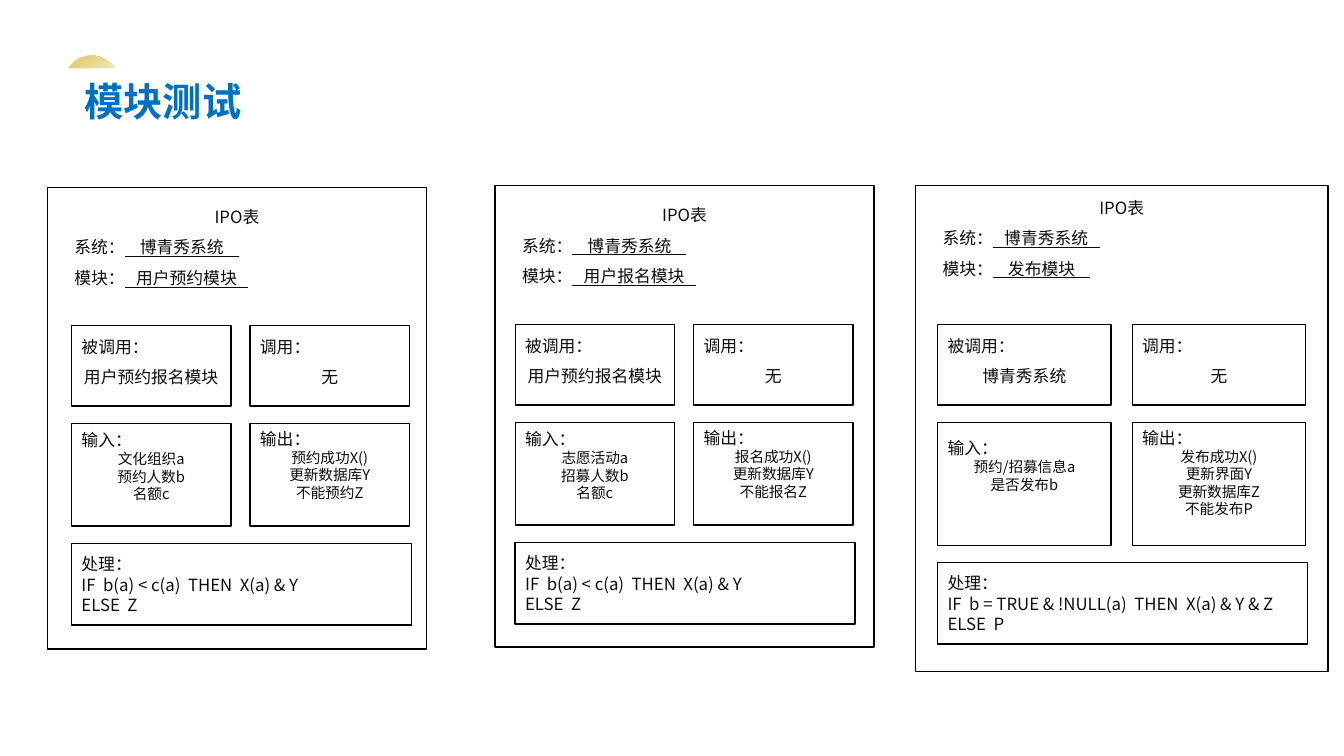
from dataclasses import dataclass

from lxml import etree
from pptx import Presentation
from pptx import util as u
from pptx.dml.color import RGBColor
from pptx.enum import shapes, text
from pptx.oxml import ns


@dataclass(frozen=True)
class Theme:
    font: str = "Noto Sans CJK SC"
    title: str = "0070C0"
    ink: str = "0D0D0D"
    border: str = "000000"
    paper: str = "FFFFFF"
    gold: str = "E4D178"
    title_size: float = 28
    label_size: float = 12
    item_size: float = 10.5
    title_pitch: float = 34
    loose_pitch: float = 21.7
    label_pitch: float = 14.7
    item_pitch: float = 12.5


@dataclass(frozen=True)
class Panel:
    left: float
    top: float
    width: float
    height: float
    grid_left: float
    grid_top: float
    cell_width: float
    gap: float
    data_height: float
    header_inset: float
    input_inset: float
    system: str
    module: str
    caller: str
    inputs: tuple
    outputs: tuple
    process: tuple


THEME = Theme()
BOOKING_RULE = ("IF  b(a) < c(a)  THEN  X(a) & Y", "ELSE  Z")
PANELS = (
    Panel(0.47, 1.86, 3.76, 4.58, 0.71, 3.23, 1.58, 0.19, 1.02, 0.09, 0.06,
          "    博青秀系统    ", "   用户预约模块   ", "用户预约报名模块",
          ("文化组织a", "预约人数b", "名额c"),
          ("预约成功X()", "更新数据库Y", "不能预约Z"), BOOKING_RULE),
    Panel(4.91, 1.84, 3.76, 4.58, 5.11, 3.22, 1.58, 0.19, 1.02, 0.09, 0.06,
          "    博青秀系统    ", "   用户报名模块   ", "用户预约报名模块",
          ("志愿活动a", "招募人数b", "名额c"),
          ("报名成功X()", "更新数据库Y", "不能报名Z"), BOOKING_RULE),
    Panel(9.08, 1.84, 4.09, 4.82, 9.3, 3.22, 1.72, 0.21, 1.22, 0.02, 0.15,
          "   博青秀系统   ", "    发布模块    ", "博青秀系统",
          ("预约/招募信息a", "是否发布b"),
          ("发布成功X()", "更新界面Y", "更新数据库Z", "不能发布P"),
          ("IF  b = TRUE & !NULL(a)  THEN  X(a) & Y & Z", "ELSE  P")),
)


def color(code):
    return RGBColor.from_string(code)


def add_area(slide, kind, left, top, width, height, fill=None, line=None):
    area = slide.shapes.add_shape(kind, *map(u.Inches, (left, top, width, height)))
    area.shadow.inherit = False
    if fill:
        area.fill.solid()
        area.fill.fore_color.rgb = color(fill)
    else:
        area.fill.background()
    if line:
        area.line.color.rgb = color(line)
        area.line.width = u.Pt(1)
    else:
        area.line.fill.background()
    return area


def start_text(area, inset):
    frame = area.text_frame
    frame.word_wrap = True
    frame.vertical_anchor = text.MSO_ANCHOR.TOP
    frame.margin_top = u.Inches(inset)
    frame.margin_bottom = 0
    return frame


def write(frame, words, underlined="", size=THEME.label_size, pitch=THEME.label_pitch,
          ink=THEME.ink, bold=False, centered=False, indent=0):
    first = frame.paragraphs[0]
    line = frame.add_paragraph() if first.runs else first
    line.alignment = text.PP_ALIGN.CENTER if centered else text.PP_ALIGN.LEFT
    line.line_spacing = u.Pt(pitch)
    if indent:
        line._p.get_or_add_pPr().set("indent", str(u.Inches(indent)))
    for part, mark in ((words, False), (underlined, True)):
        if part:
            run = line.add_run()
            run.text = part
            run.font.size = u.Pt(size)
            run.font.bold = bold
            run.font.underline = mark
            run.font.color.rgb = color(ink)
            run.font.name = THEME.font
            etree.SubElement(run.font._element, ns.qn("a:ea"), typeface=THEME.font)


def add_box(slide, left, top, width, height, inset):
    box = add_area(slide, shapes.MSO_SHAPE.RECTANGLE, left, top, width, height,
                   line=THEME.border)
    return start_text(box, inset)


def add_title(slide):
    sun = add_area(slide, shapes.MSO_SHAPE.OVAL, 0.63, 0.55, 0.55, 0.55)
    sun.fill.gradient()
    sun.fill.gradient_angle = 315
    for stop, code, position in zip(sun.fill.gradient_stops,
                                    (THEME.gold, THEME.paper), (0.2, 1)):
        stop.color.rgb = color(code)
        stop.position = position
    banner = add_area(slide, shapes.MSO_SHAPE.RECTANGLE, 0.4, 0.68, 4.51, 0.57,
                      fill=THEME.paper)
    write(start_text(banner, 0.08), "模块测试", size=THEME.title_size,
          pitch=THEME.title_pitch, ink=THEME.title, bold=True, indent=0.34)


def add_call_box(slide, left, top, width, label, target):
    frame = add_box(slide, left, top, width, 0.8, 0.01)
    write(frame, label, pitch=THEME.loose_pitch)
    write(frame, target, pitch=THEME.loose_pitch, centered=True)


def add_data_box(slide, left, top, width, height, inset, label, items):
    frame = add_box(slide, left, top, width, height, inset)
    write(frame, label)
    for item in items:
        write(frame, item, size=THEME.item_size, pitch=THEME.item_pitch, centered=True)


def add_panel(slide, panel):
    header = add_box(slide, panel.left, panel.top, panel.width, panel.height,
                     panel.header_inset)
    write(header, "IPO表", pitch=THEME.loose_pitch, centered=True)
    for label, value in (("系统：", panel.system), ("模块：", panel.module)):
        write(header, label, underlined=value, pitch=THEME.loose_pitch, indent=0.17)

    width = panel.cell_width
    left = panel.grid_left
    right = left + width + panel.gap
    data_top = panel.grid_top + 0.97
    process_top = data_top + panel.data_height + 0.17
    add_call_box(slide, left, panel.grid_top, width, "被调用：", panel.caller)
    add_call_box(slide, right, panel.grid_top, width, "调用：", "无")
    add_data_box(slide, left, data_top, width, panel.data_height,
                 panel.input_inset, "输入：", panel.inputs)
    add_data_box(slide, right, data_top, width, panel.data_height,
                 0.05, "输出：", panel.outputs)
    process = add_box(slide, left, process_top, 2 * width + panel.gap + 0.02, 0.81, 0.1)
    for step in ("处理：", *panel.process):
        write(process, step)


def main():
    deck = Presentation()
    deck.slide_width = u.Inches(13.33)
    deck.slide_height = u.Inches(7.5)
    slide = deck.slides.add_slide(deck.slide_layouts[6])
    add_title(slide)
    for panel in PANELS:
        add_panel(slide, panel)
    deck.save("out.pptx")


main()
